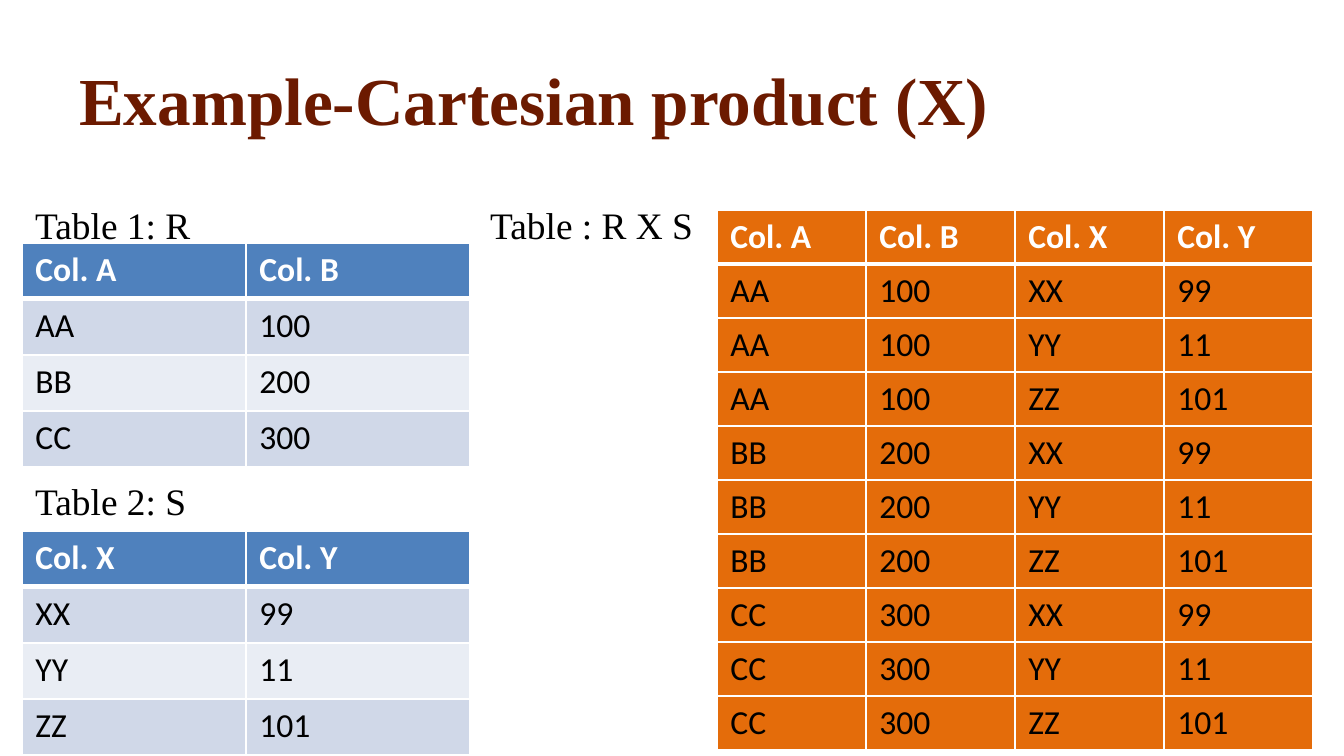
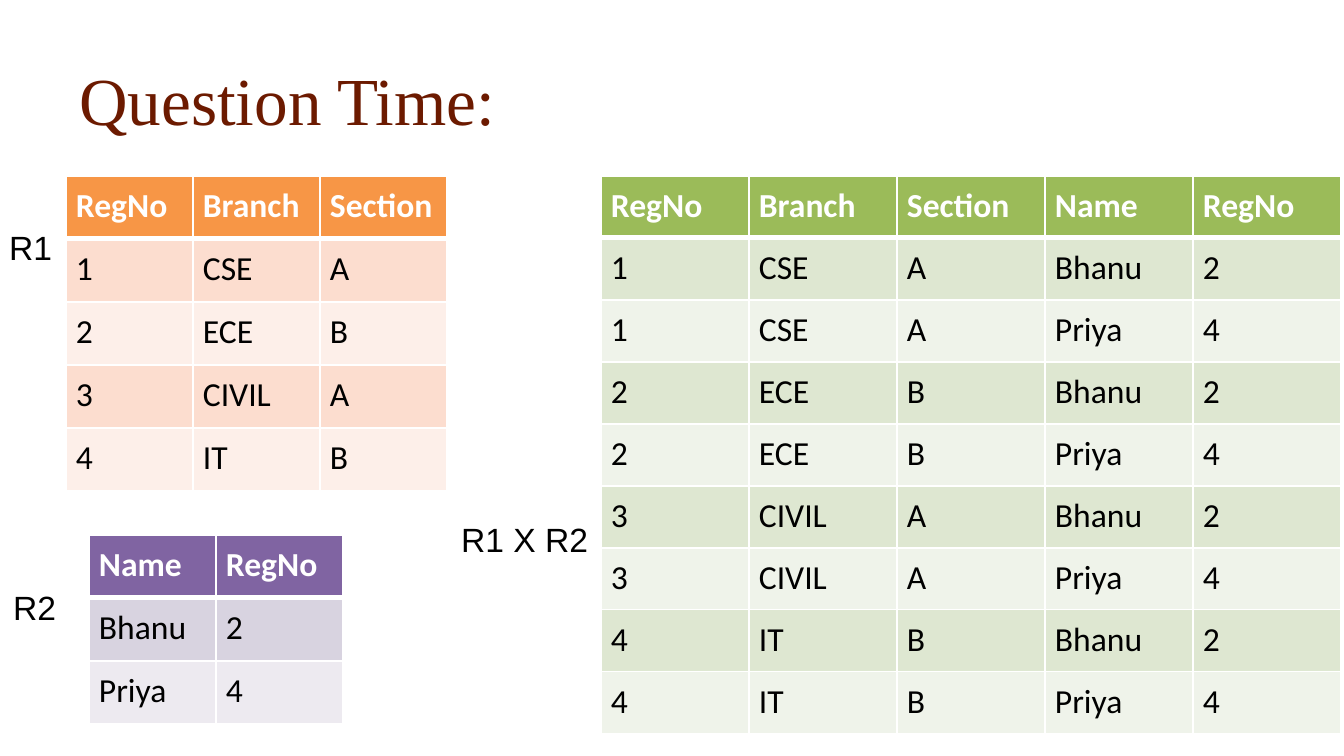
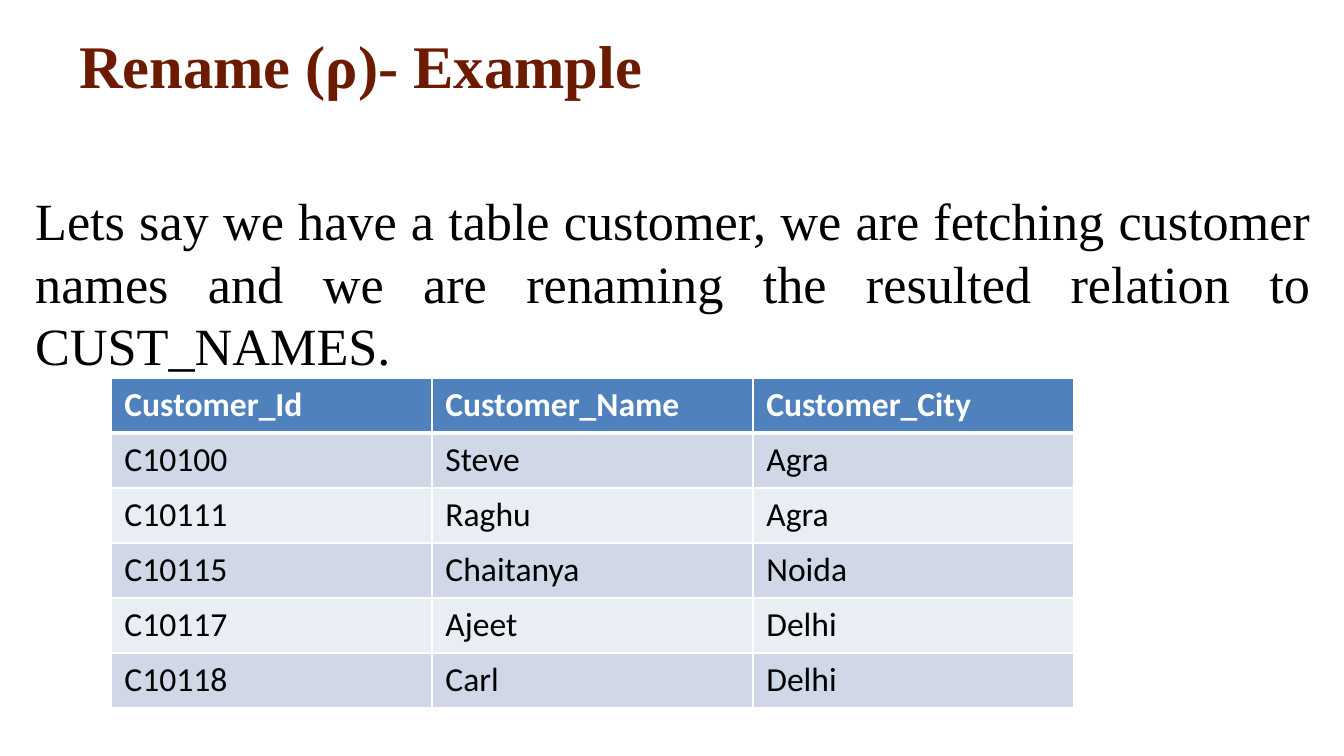
from collections import namedtuple
from dataclasses import dataclass
from itertools import product

from lxml.etree import SubElement
from pptx import Presentation
from pptx.dml.color import RGBColor as Color
from pptx.enum.text import MSO_ANCHOR as Anchor, PP_ALIGN as Align
from pptx.oxml.ns import qn
from pptx.util import Pt

EMU_PER_PX = 914400 / 134.4

Palette = namedtuple("Palette", "header odd even")


@dataclass(frozen=True)
class Theme:
    # Fonts
    serif: str = "Times New Roman"
    sans: str = "Arial"
    table_font: str = "Calibri"
    # Type sizes in points
    title_size: float = 36
    small_title_size: float = 32.4
    body_size: float = 28
    caption_size: float = 20
    table_size: float = 18
    # Colours
    title: str = "6C1A00"
    text: str = "000000"
    white: str = "FFFFFF"
    blue: Palette = Palette("4F81BD", "D0D8E8", "E9EDF4")
    dark_orange: Palette = Palette("E46C0A", "E46C0A", "E46C0A")
    orange: Palette = Palette("F79646", "FCDDCF", "FDEFE9")
    purple: Palette = Palette("8064A2", "D8D3E0", "EDEAF0")
    green: Palette = Palette("9BBB59", "DEE7D1", "EFF3EA")


THEME = Theme()


def px(length):
    return round(length * EMU_PER_PX)


def format_runs(paragraph, font, size, color, bold=False):
    for run in paragraph.runs:
        run.font.name = font
        run.font.size = Pt(size)
        run.font.color.rgb = Color.from_string(color)
        run.font.bold = bold


# Text elements

def add_text(slide, box, text, font, size, color=THEME.text, bold=False, wrap=True):
    shape = slide.shapes.add_textbox(*map(px, box))
    text_frame = shape.text_frame
    text_frame.word_wrap = wrap
    text_frame.text = text
    for paragraph in text_frame.paragraphs:
        format_runs(paragraph, font, size, color, bold)
    return text_frame


def add_title(slide, text, size=THEME.title_size, bold=True, top=42):
    text_frame = add_text(slide, (66, top, 1212, 113), text, THEME.serif, size,
                          THEME.title, bold)
    text_frame.vertical_anchor = Anchor.MIDDLE


def add_body(slide, box, text, size, margin_top):
    text_frame = add_text(slide, box, text, THEME.serif, size)
    text_frame.margin_top = px(margin_top)
    return text_frame


def add_label(slide, left, top, width, text):
    add_text(slide, (left, top, width, 54), text, THEME.sans, THEME.table_size, wrap=False)


def add_tab_stop(paragraph, position):
    tab_list = SubElement(paragraph._p.get_or_add_pPr(), qn("a:tabLst"))
    SubElement(tab_list, qn("a:tab"), pos=str(px(position)), algn="l")


# Tables

def set_borders(cell, top, bottom):
    properties = cell._tc.get_or_add_tcPr()
    for side, width in (("L", 1), ("R", 1), ("T", top), ("B", bottom)):
        line = SubElement(properties, qn(f"a:ln{side}"), w=str(Pt(width)))
        fill = SubElement(line, qn("a:solidFill"))
        SubElement(fill, qn("a:srgbClr"), val=THEME.white)


def add_grid(slide, left, top, column_width, row_height, rows, palette, margin=None):
    row_count, column_count = len(rows), len(rows[0])
    table = slide.shapes.add_table(
        row_count, column_count, px(left), px(top),
        px(column_width * column_count), px(row_height * row_count)).table
    for column in table.columns:
        column.width = px(column_width)
    for row_index, values in enumerate(rows):
        table.rows[row_index].height = px(row_height)
        is_header = row_index == 0
        band = palette.odd if row_index % 2 else palette.even
        for column_index, value in enumerate(values):
            cell = table.cell(row_index, column_index)
            set_borders(cell, top=3 if row_index == 1 else 1, bottom=3 if is_header else 1)
            cell.fill.solid()
            cell.fill.fore_color.rgb = Color.from_string(palette.header if is_header else band)
            if margin is not None:
                cell.margin_left = cell.margin_right = px(margin)
                cell.margin_top = cell.margin_bottom = px(margin)
            cell.text_frame.text = value
            format_runs(cell.text_frame.paragraphs[0], THEME.table_font, THEME.table_size,
                        THEME.white if is_header else THEME.text, is_header)


def cartesian_product(first, second):
    header = first[0] + second[0]
    return [header] + [a + b for a, b in product(first[1:], second[1:])]


# Slides

def build_product_example(slide):
    table_r = [("Col. A", "Col. B"), ("AA", "100"), ("BB", "200"), ("CC", "300")]
    table_s = [("Col. X", "Col. Y"), ("XX", "99"), ("YY", "11"), ("ZZ", "101")]
    add_title(slide, "Example-Cartesian product (X)")
    captions = add_body(slide, (22, 176, 1257, 539),
                        "Table 1: R\tTable : R X S\nTable 2: S",
                        THEME.caption_size, margin_top=26)
    add_tab_stop(captions.paragraphs[0], 455)
    captions.paragraphs[1].space_before = Pt(124)
    add_grid(slide, 22, 243, 224, 56, table_r, THEME.blue)
    add_grid(slide, 22, 531, 224, 56, table_s, THEME.blue)
    add_grid(slide, 717, 210, 149, 54, cartesian_product(table_r, table_s), THEME.dark_orange)


def build_question(slide):
    students = [("RegNo", "Branch", "Section"), ("1", "CSE", "A"), ("2", "ECE", "B"),
                ("3", "CIVIL", "A"), ("4", "IT", "B")]
    names = [("Name", "RegNo"), ("Bhanu", "2"), ("Priya", "4")]
    add_title(slide, "Question Time:", bold=False)
    add_grid(slide, 66, 176, 127, 63, students, THEME.orange, margin=10)
    add_grid(slide, 89, 535, 127, 63, names, THEME.purple, margin=10)
    add_label(slide, 448, 512, 156, "R1 X R2")
    add_label(slide, -4, 220, 70, "R1")
    add_label(slide, 0, 580, 70, "R2")
    add_grid(slide, 601, 176, 148, 62, cartesian_product(students, names),
             THEME.green, margin=10)


def build_rename_example(slide):
    customers = [("Customer_Id", "Customer_Name", "Customer_City"),
                 ("C10100", "Steve", "Agra"), ("C10111", "Raghu", "Agra"),
                 ("C10115", "Chaitanya", "Noida"), ("C10117", "Ajeet", "Delhi"),
                 ("C10118", "Carl", "Delhi")]
    add_title(slide, "Rename (ρ)- Example", THEME.small_title_size, top=8)
    body = add_body(slide, (22, 176, 1302, 580),
                    "Lets say we have a table customer, we are fetching customer names "
                    "and we are renaming the resulted relation to CUST_NAMES.",
                    THEME.body_size, margin_top=12)
    body.paragraphs[0].alignment = Align.JUSTIFY
    add_grid(slide, 111, 378, 321, 55, customers, THEME.blue)


def main():
    presentation = Presentation()
    presentation.slide_width = px(1344)
    presentation.slide_height = px(756)
    blank_layout = presentation.slide_layouts[6]
    for build in (build_product_example, build_question, build_rename_example):
        build(presentation.slides.add_slide(blank_layout))
    presentation.save("out.pptx")


if __name__ == "__main__":
    main()
